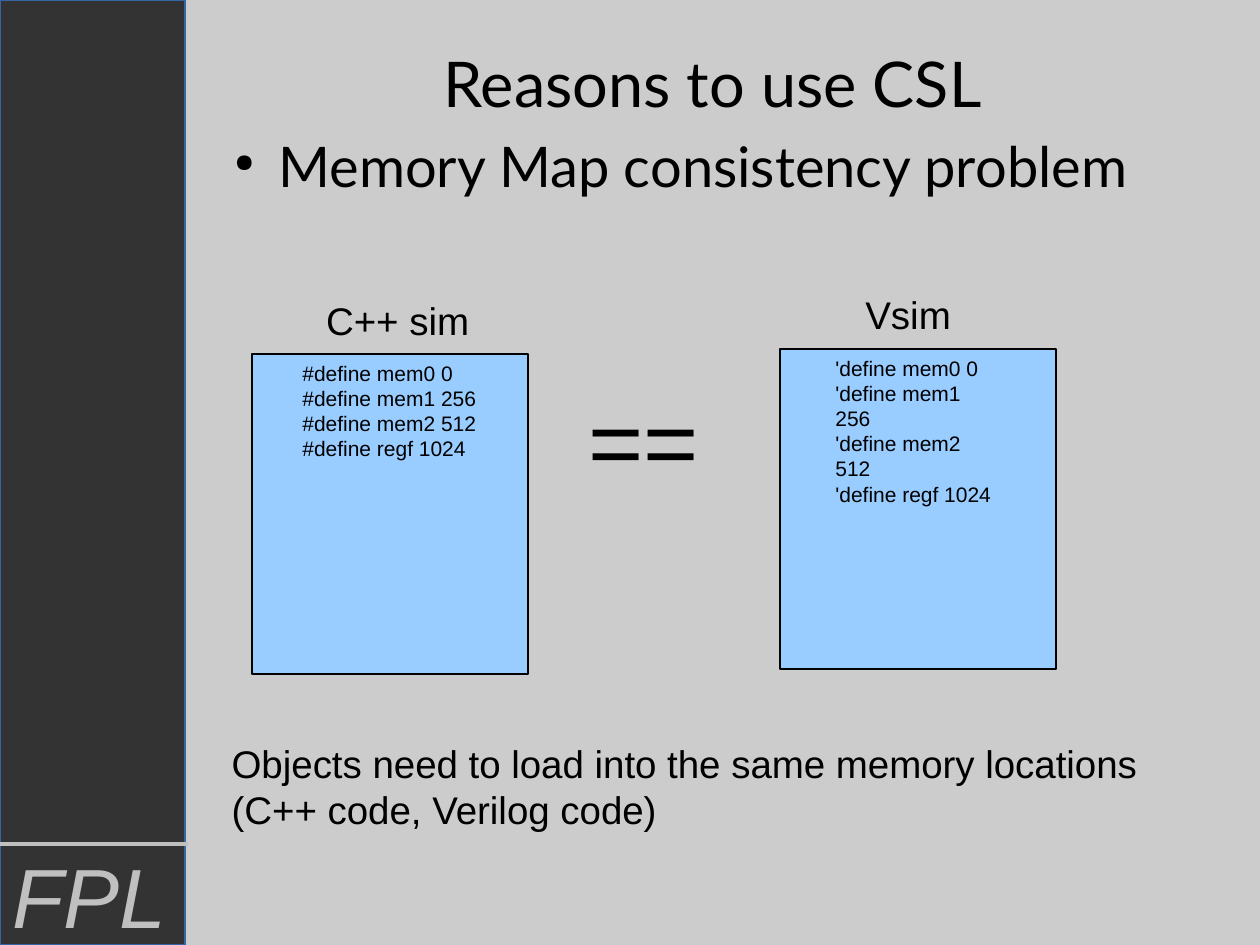
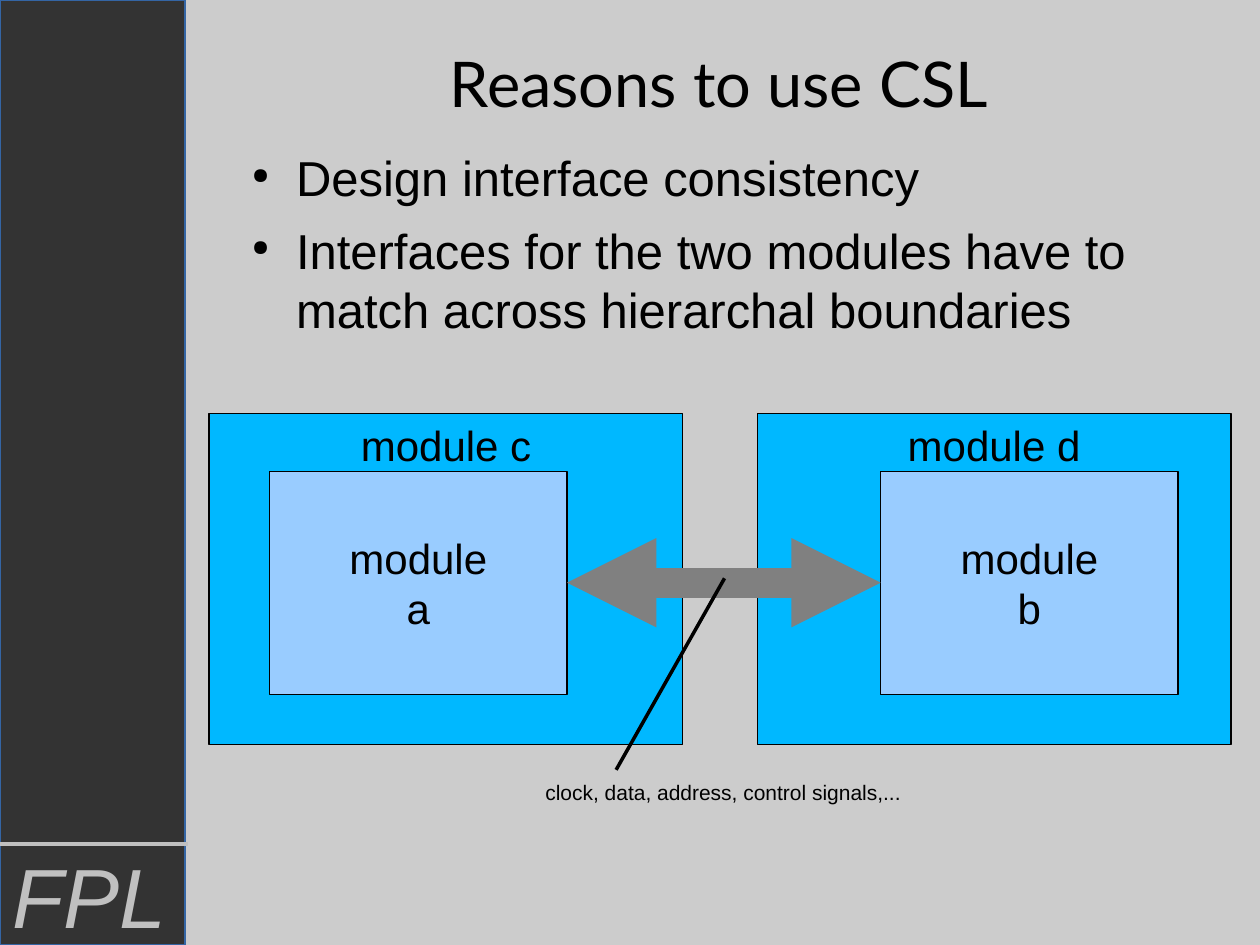
from lxml import etree
from pptx import Presentation
from pptx import util as u
from pptx.dml.color import RGBColor
from pptx.enum import shapes, text
from pptx.oxml import ns

GREY = RGBColor(0xCC, 0xCC, 0xCC)
CHARCOAL = RGBColor(0x33, 0x33, 0x33)
SILVER = RGBColor(0xC0, 0xC0, 0xC0)
STEEL = RGBColor(0x34, 0x65, 0xA4)
SKY = RGBColor(0x99, 0xCC, 0xFF)
CYAN = RGBColor(0x00, 0xB8, 0xFF)
ARROW_GREY = RGBColor(0x80, 0x80, 0x80)
BLACK = RGBColor(0, 0, 0)

BODY_FONT = "Arial"
TITLE_FONT = "Lato"
CENTER = text.PP_ALIGN.CENTER
LEFT = text.PP_ALIGN.LEFT
TOP = text.MSO_ANCHOR.TOP
MIDDLE = text.MSO_ANCHOR.MIDDLE


def add_bullet(paragraph):
    props = paragraph._p.get_or_add_pPr()
    props.set("marL", str(u.Inches(0.47)))
    props.set("indent", str(u.Inches(-0.35)))
    color = etree.SubElement(props, ns.qn("a:buClr"))
    etree.SubElement(color, ns.qn("a:srgbClr"), val=str(BLACK))
    etree.SubElement(props, ns.qn("a:buSzPct"), val="45000")
    etree.SubElement(props, ns.qn("a:buChar"), char="●")


def write_text(shape, lines, size=12, font=BODY_FONT, color=BLACK, italic=False,
               align=LEFT, anchor=TOP, inset=(0.1, 0.05), bullets=False, gap=0):
    frame = shape.text_frame
    frame.word_wrap = True
    frame.vertical_anchor = anchor
    frame.margin_left = frame.margin_right = u.Inches(inset[0])
    frame.margin_top = frame.margin_bottom = u.Inches(inset[1])
    for index, line in enumerate(lines):
        paragraph = frame.paragraphs[0] if index == 0 else frame.add_paragraph()
        if bullets:
            add_bullet(paragraph)
        paragraph.alignment = align
        if index and gap:
            paragraph.space_before = u.Pt(gap)
        run = paragraph.add_run()
        run.text = line
        run.font.name = font
        run.font.size = u.Pt(size)
        run.font.color.rgb = color
        run.font.italic = italic


def add_label(slide, lines, left, top, width, height, **style):
    box = slide.shapes.add_textbox(*map(u.Inches, (left, top, width, height)))
    write_text(box, lines, **style)


def add_block(slide, left, top, width, height, fill, outline=BLACK, lines=(), **style):
    block = slide.shapes.add_shape(shapes.MSO_SHAPE.RECTANGLE,
                                   *map(u.Inches, (left, top, width, height)))
    block.shadow.inherit = False
    block.fill.solid()
    block.fill.fore_color.rgb = fill
    block.line.color.rgb = outline
    block.line.width = u.Pt(0)
    write_text(block, lines, **style)
    return block


def add_line(slide, start, end, color=BLACK, width=0):
    line = slide.shapes.add_connector(shapes.MSO_CONNECTOR.STRAIGHT,
                                      *map(u.Inches, (*start, *end)))
    line.line.color.rgb = color
    line.line.width = u.Pt(width)
    etree.SubElement(line._element.spPr, ns.qn("a:effectLst"))
    return line


def add_double_arrow(slide, source, target):
    arrow = add_line(slide, (0, 0), (1, 1), ARROW_GREY, 17)
    arrow.begin_connect(source, 3)
    arrow.end_connect(target, 1)
    stroke = arrow.line._get_or_add_ln()
    for end in ("a:headEnd", "a:tailEnd"):
        etree.SubElement(stroke, ns.qn(end), type="triangle")


def add_bullets(slide, lines, left, top, height, **style):
    add_label(slide, lines, left, top, 7.93, height,
              inset=(0, 0), bullets=True, gap=8, **style)


def start_slide(deck, title_left):
    slide = deck.slides.add_slide(deck.slide_layouts[6])
    slide.background.fill.solid()
    slide.background.fill.fore_color.rgb = GREY
    add_block(slide, 0, 0, 1.47, 7.5, CHARCOAL, STEEL)
    add_label(slide, ["FPL"], 0, 6.65, 1.87, 0.85, size=48, color=SILVER, italic=True)
    add_line(slide, (0, 6.7), (1.49, 6.7), SILVER)
    add_label(slide, ["Reasons to use CSL"], title_left, 0, 6.67, 1.3, size=36,
              font=TITLE_FONT, align=CENTER, anchor=MIDDLE, inset=(0, 0))
    return slide


def build_memory_map(deck):
    slide = start_slide(deck, 2.32)
    add_bullets(slide, ["Memory Map consistency problem"], 1.74, 1.04, 1,
                size=32, font=TITLE_FONT)
    simulators = [
        ("C++ sim", "#", 2, 2.81, 2.49, 2.31, 0.4),
        ("Vsim", "'", 6.19, 2.77, 6.77, 2.26, 0.44),
    ]
    addresses = [("mem0", 0), ("mem1", 256), ("mem2", 512), ("regf", 1024)]
    for name, mark, left, top, name_left, name_top, indent in simulators:
        defines = [f"{mark}define {area} {address}" for area, address in addresses]
        add_block(slide, left, top, 2.19, 2.54, SKY, lines=defines, inset=(indent, 0.05))
        add_label(slide, [name], name_left, name_top, 1.6, 0.5, size=22)
    add_label(slide, ["Objects need to load into the same memory locations",
                      "(C++ code, Verilog code)"], 1.74, 5.82, 8.2, 1.01, size=22)
    add_label(slide, ["=="], 4.57, 2.98, 1.65, 1.21, size=54)


def build_interfaces(deck):
    slide = start_slide(deck, 2.37)
    add_bullets(slide, ["Design interface consistency",
                        "Interfaces for the two modules have to match across "
                        "hierarchal boundaries"], 1.88, 1.17, 2, size=28)
    modules = []
    for outer, outer_left, inner, inner_left in [("c", 1.66, "a", 2.14),
                                                 ("d", 6.01, "b", 6.99)]:
        add_block(slide, outer_left, 3.28, 3.76, 2.63, CYAN,
                  lines=[f"module {outer}"], size=24, align=CENTER)
        modules.append(add_block(slide, inner_left, 3.74, 2.36, 1.77, SKY,
                                 lines=["module", inner], size=24,
                                 align=CENTER, anchor=MIDDLE))
    add_double_arrow(slide, *modules)
    add_line(slide, (5.75, 4.59), (4.89, 6.11))
    add_label(slide, ["clock, data, address, control signals,..."],
              4.23, 6.14, 3.18, 0.35)


def main():
    deck = Presentation()
    deck.slide_width = u.Inches(10)
    deck.slide_height = u.Inches(7.5)
    build_memory_map(deck)
    build_interfaces(deck)
    deck.save("out.pptx")


if __name__ == "__main__":
    main()
